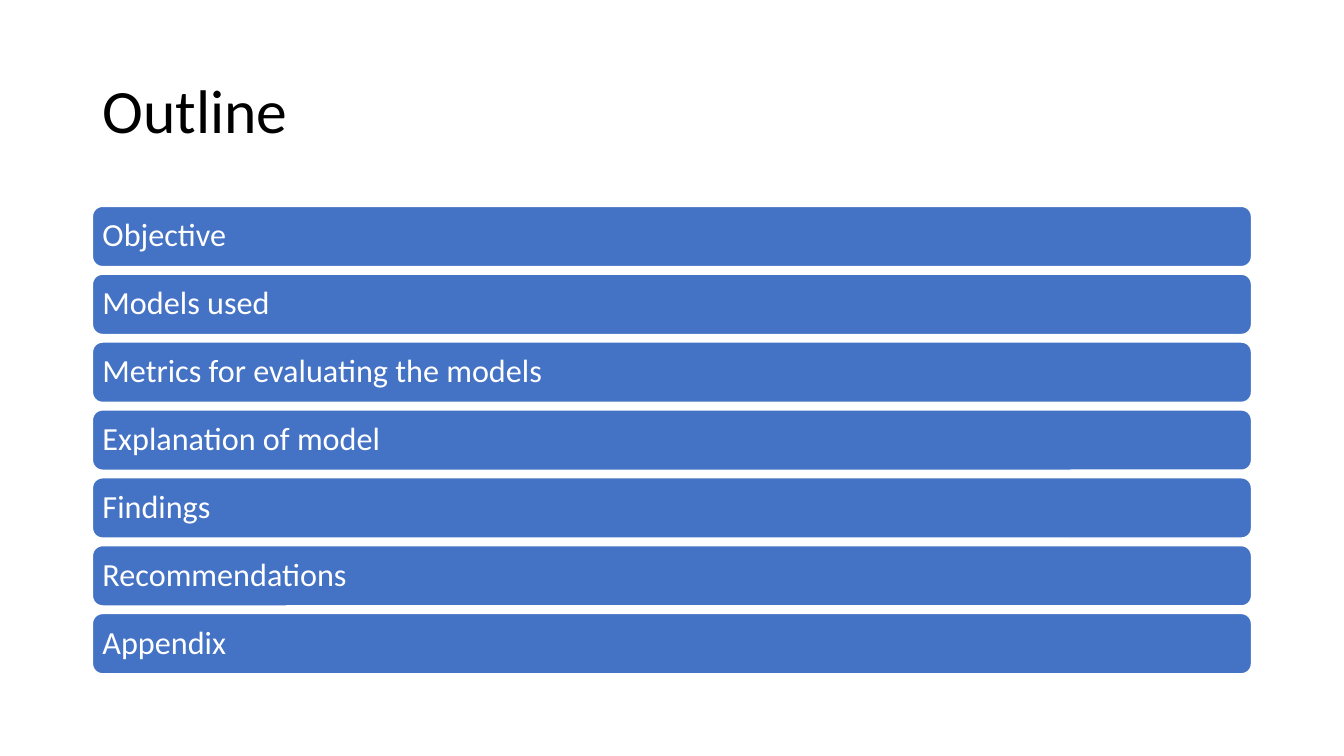
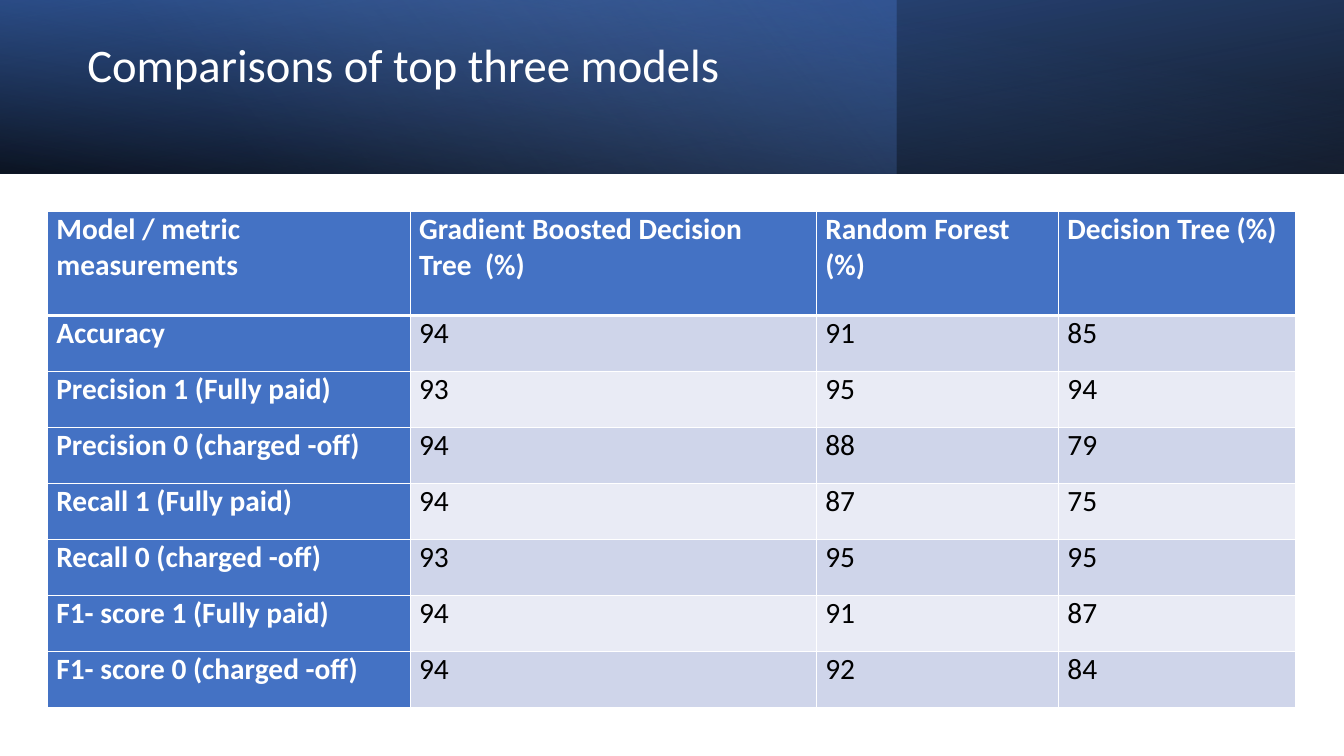
from lxml.etree import SubElement
from pptx import Presentation
from pptx.dml.color import RGBColor
from pptx.enum.shapes import MSO_SHAPE
from pptx.enum.text import MSO_ANCHOR, PP_ALIGN
from pptx.oxml.ns import qn
from pptx.util import Cm, Pt

FONT = "Calibri"
BLUE = "4472C4"
NAVY = "2F5597"
PALE_BLUE = "8FAADC"
BAND_COLORS = ("CFD5EA", "E9EBF5")
WHITE = "FFFFFF"
BLACK = "000000"

SLIDE_WIDTH = 33.87
SLIDE_HEIGHT = 19.05
HEADER_HEIGHT = 4.37

TOPICS = (
    "Objective",
    "Models used",
    "Metrics for evaluating the models",
    "Explanation of model",
    "Findings",
    "Recommendations",
    "Appendix",
)

MODEL_SCORES = (
    ("Model / metric measurements", "Gradient Boosted Decision Tree  (%)",
     "Random Forest (%)", "Decision Tree (%)"),
    ("Accuracy", "94", "91", "85"),
    ("Precision 1 (Fully paid)", "93", "95", "94"),
    ("Precision 0 (charged -off)", "94", "88", "79"),
    ("Recall 1 (Fully paid)", "94", "87", "75"),
    ("Recall 0 (charged -off)", "93", "95", "95"),
    ("F1- score 1 (Fully paid)", "94", "91", "87"),
    ("F1- score 0 (charged -off)", "94", "92", "84"),
)


def rgb(color):
    """Turn a hex string into a colour."""
    return RGBColor.from_string(color)


def write_text(text_frame, text, size, color, bold=False, line_spacing=1.0):
    """Write one formatted, left-aligned paragraph into a text frame."""
    text_frame.word_wrap = True
    paragraph = text_frame.paragraphs[0]
    paragraph.alignment = PP_ALIGN.LEFT
    paragraph.line_spacing = line_spacing
    run = paragraph.add_run()
    run.text = text
    run.font.name = FONT
    run.font.size = Pt(size)
    run.font.bold = bold
    run.font.color.rgb = rgb(color)


def add_title(slide, text, left, top, width, height, size, color):
    """Add a title centred vertically in its box."""
    box = slide.shapes.add_textbox(Cm(left), Cm(top), Cm(width), Cm(height))
    box.text_frame.vertical_anchor = MSO_ANCHOR.MIDDLE
    write_text(box.text_frame, text, size=size, color=color, line_spacing=0.9)


def add_topic_bar(slide, text, left, top, width, height):
    """Add a rounded bar that holds one topic."""
    bar = slide.shapes.add_shape(
        MSO_SHAPE.ROUNDED_RECTANGLE, Cm(left), Cm(top), Cm(width), Cm(height))
    bar.shadow.inherit = False
    bar.fill.solid()
    bar.fill.fore_color.rgb = rgb(BLUE)
    bar.line.color.rgb = rgb(WHITE)
    bar.line.width = Pt(1)
    bar.text_frame.margin_left = Cm(0.18)
    bar.text_frame.vertical_anchor = MSO_ANCHOR.MIDDLE
    write_text(bar.text_frame, text, size=23, color=WHITE, line_spacing=0.9)


def add_gradient_layer(slide, width, stops, angle, flipped=False, rotation=0):
    """Add a header layer with (position, colour, opacity percent) stops."""
    layer = slide.shapes.add_shape(
        MSO_SHAPE.RECTANGLE, 0, 0, Cm(width), Cm(HEADER_HEIGHT))
    layer.shadow.inherit = False
    layer.line.fill.background()
    layer.rotation = rotation
    if flipped:
        layer.element.spPr.xfrm.set("flipH", "1")
    layer.fill.gradient()
    layer.fill.gradient_angle = 360 - angle
    for gradient_stop, (position, color, _) in zip(layer.fill.gradient_stops, stops):
        gradient_stop.position = position
        gradient_stop.color.rgb = rgb(color)
    colors = layer.element.spPr.iter(qn("a:srgbClr"))
    for color_element, (_, _, opacity) in zip(list(colors), stops):
        SubElement(color_element, qn("a:alpha"), val=str(opacity * 1000))


def set_borders(cell, top=1, bottom=1):
    """Give a cell white borders, with widths in points."""
    properties = cell._tc.get_or_add_tcPr()
    for side, width in (("L", 1), ("R", 1), ("T", top), ("B", bottom)):
        line = SubElement(properties, qn(f"a:ln{side}"), w=str(Pt(width)))
        fill = SubElement(line, qn("a:solidFill"))
        SubElement(fill, qn("a:srgbClr"), val=WHITE)


def fill_cell(cell, text, row, column):
    """Format one cell by its place in the table."""
    heading = row == 0 or column == 0
    set_borders(cell, top=3 if row == 1 else 1, bottom=3 if row == 0 else 1)
    cell.fill.solid()
    cell.fill.fore_color.rgb = rgb(BLUE if heading else BAND_COLORS[(row - 1) % 2])
    cell.margin_left = Cm(0.22)
    cell.margin_right = Cm(0.43)
    cell.margin_top = cell.margin_bottom = 0
    write_text(cell.text_frame, text, size=21,
               color=WHITE if heading else BLACK, bold=heading)


def add_table(slide, rows, left, top, column_widths, header_height, row_height):
    """Add a table with a header row and a heading column."""
    height = header_height + row_height * (len(rows) - 1)
    table = slide.shapes.add_table(
        len(rows), len(column_widths), Cm(left), Cm(top),
        Cm(sum(column_widths)), Cm(height)).table
    table.first_column = True
    for column, width in zip(table.columns, column_widths):
        column.width = Cm(width)
    for row_index, values in enumerate(rows):
        table.rows[row_index].height = Cm(row_height if row_index else header_height)
        for column_index, text in enumerate(values):
            fill_cell(table.cell(row_index, column_index), text, row_index, column_index)


def build_outline(slide):
    """Build the list of topics."""
    left, top, width, height, gap = 2.33, 5.2, 29.21, 1.52, 0.19
    add_title(slide, "Outline", left, 1.01, width, 3.68, size=44, color=BLACK)
    for index, topic in enumerate(TOPICS):
        add_topic_bar(slide, topic, left, top + index * (height + gap), width, height)


def build_comparison(slide):
    """Build the table of model scores below a gradient header."""
    add_gradient_layer(slide, SLIDE_WIDTH, ((0, BLACK, 96), (1, NAVY, 100)),
                       angle=100, flipped=True, rotation=180)
    add_gradient_layer(slide, 22.58, ((0, BLUE, 41), (0.74, PALE_BLUE, 0)), angle=140)
    add_gradient_layer(slide, SLIDE_WIDTH, ((0, BLACK, 63), (0.78, BLUE, 15)),
                       angle=260, flipped=True)
    add_title(slide, "Comparisons of top three models", 1.95, 0.68, 29.13, 2.03,
              size=33.3, color=WHITE)
    add_table(slide, MODEL_SCORES, left=1.2, top=5.33,
              column_widths=(9.14, 10.24, 6.1, 5.98),
              header_height=2.62, row_height=1.41)


def main():
    """Build and save the presentation."""
    presentation = Presentation()
    presentation.slide_width = Cm(SLIDE_WIDTH)
    presentation.slide_height = Cm(SLIDE_HEIGHT)
    blank_layout = presentation.slide_layouts[6]
    for build_slide in (build_outline, build_comparison):
        build_slide(presentation.slides.add_slide(blank_layout))
    presentation.save("out.pptx")


if __name__ == "__main__":
    main()
